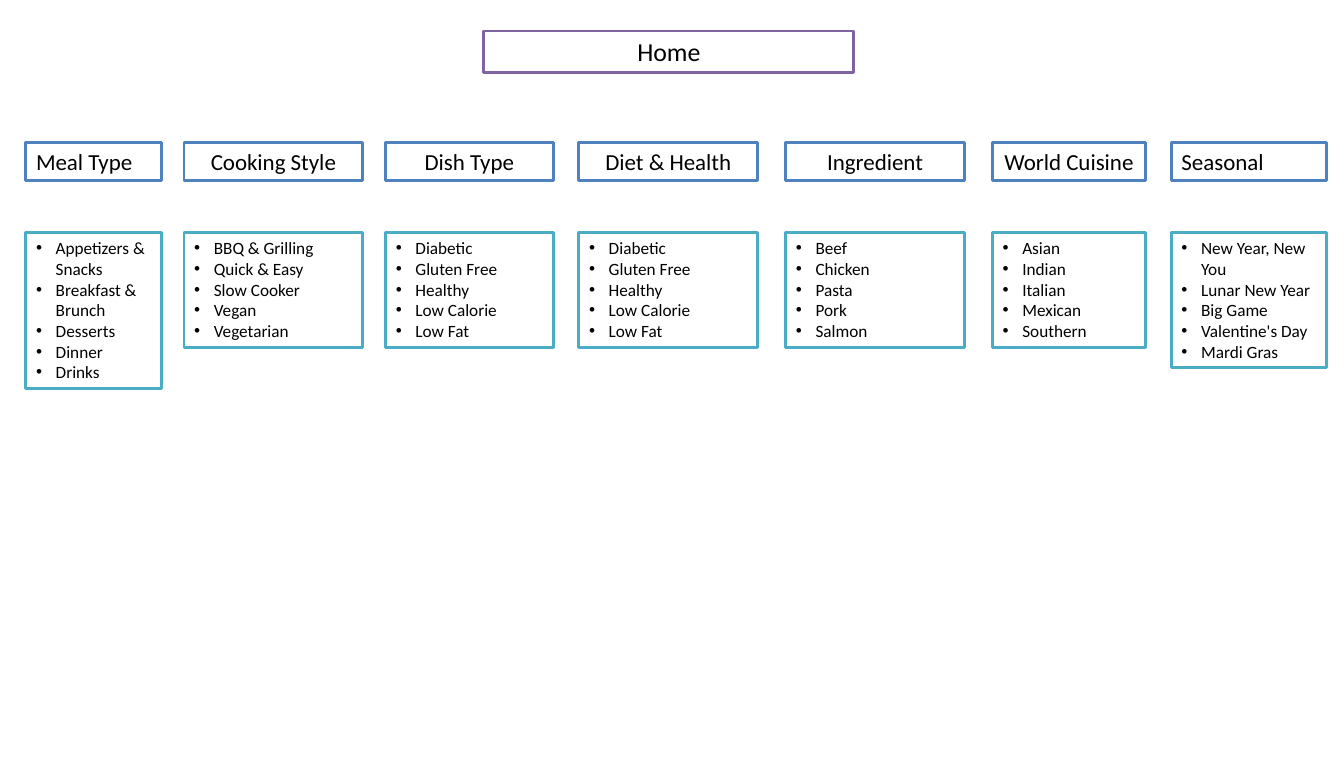
from lxml import etree
from pptx import Presentation
from pptx.dml.color import RGBColor
from pptx.enum.shapes import MSO_SHAPE
from pptx.enum.text import MSO_ANCHOR, MSO_AUTO_SIZE, PP_ALIGN
from pptx.oxml.ns import qn
from pptx.util import Inches, Pt

PURPLE, BLUE, TEAL = "8064A2", "4F81BD", "4BACC6"
LEFT, CENTER = PP_ALIGN.LEFT, PP_ALIGN.CENTER
DIETS = ["Diabetic", "Gluten Free", "Healthy", "Low Calorie", "Low Fat"]

# Menu columns: heading, heading alignment, left, width, items, wrapped lines
MENU = [
    ("Meal Type", LEFT, 0.25, 1.31,
     ["Appetizers & Snacks", "Breakfast & Brunch", "Desserts", "Dinner", "Drinks"], 2),
    ("Cooking Style", CENTER, 1.78, 1.73,
     ["BBQ & Grilling", "Quick & Easy", "Slow Cooker", "Vegan", "Vegetarian"], 0),
    ("Dish Type", CENTER, 3.73, 1.62, DIETS, 0),
    ("Diet & Health", CENTER, 5.6, 1.73, DIETS, 0),
    ("Ingredient", CENTER, 7.6, 1.73,
     ["Beef", "Chicken", "Pasta", "Pork", "Salmon"], 0),
    ("World Cuisine", CENTER, 9.6, 1.48,
     ["Asian", "Indian", "Italian", "Mexican", "Southern"], 0),
    ("Seasonal", LEFT, 11.33, 1.5,
     ["New Year, New You", "Lunar New Year", "Big Game", "Valentine's Day", "Mardi Gras"], 1),
]
HEADING_TOP, HEADING_HEIGHT = 1.38, 0.37
LIST_TOP, LINE_HEIGHT, LIST_PADDING = 2.25, 0.2, 0.11
BULLET_INDENT = Inches(0.19)


def rgb(color):
    return RGBColor.from_string(color)


def add_bullet(p):
    pPr = p._p.get_or_add_pPr()
    pPr.set("marL", str(BULLET_INDENT))
    pPr.set("indent", str(-BULLET_INDENT))
    etree.SubElement(pPr, qn("a:buFont")).set("typeface", "Arial")
    etree.SubElement(pPr, qn("a:buChar")).set("char", "•")


def add_box(lines, left, top, width, height, *, line, size, align=LEFT, bullets=False):
    sp = slide.shapes.add_shape(MSO_SHAPE.RECTANGLE, Inches(left), Inches(top),
                                Inches(width), Inches(height))
    sp.shadow.inherit = False
    sp.fill.solid()
    sp.fill.fore_color.rgb = rgb("FFFFFF")
    sp.line.color.rgb = rgb(line)
    sp.line.width = Pt(2)
    tf = sp.text_frame
    tf.word_wrap = True
    tf.auto_size = MSO_AUTO_SIZE.SHAPE_TO_FIT_TEXT
    tf.vertical_anchor = MSO_ANCHOR.TOP
    for i, text in enumerate(lines):
        p = tf.add_paragraph() if i else tf.paragraphs[0]
        p.alignment = align
        if bullets:
            add_bullet(p)
        r = p.add_run()
        r.text = text
        r.font.name = "Calibri"
        r.font.size = Pt(size)
        r.font.color.rgb = rgb("000000")


prs = Presentation()
prs.slide_width, prs.slide_height = Inches(13), Inches(7.5)
slide = prs.slides.add_slide(prs.slide_layouts[6])

# Root page
add_box(["Home"], 4.68, 0.3, 3.58, 0.4, line=PURPLE, size=18, align=CENTER)

# Headings with their lists
for heading, align, left, width, items, wrapped in MENU:
    add_box([heading], left, HEADING_TOP, width, HEADING_HEIGHT,
            line=BLUE, size=16, align=align)
    height = LIST_PADDING + LINE_HEIGHT * (len(items) + wrapped)
    add_box(items, left, LIST_TOP, width, height, line=TEAL, size=12, bullets=True)

prs.save("out.pptx")
